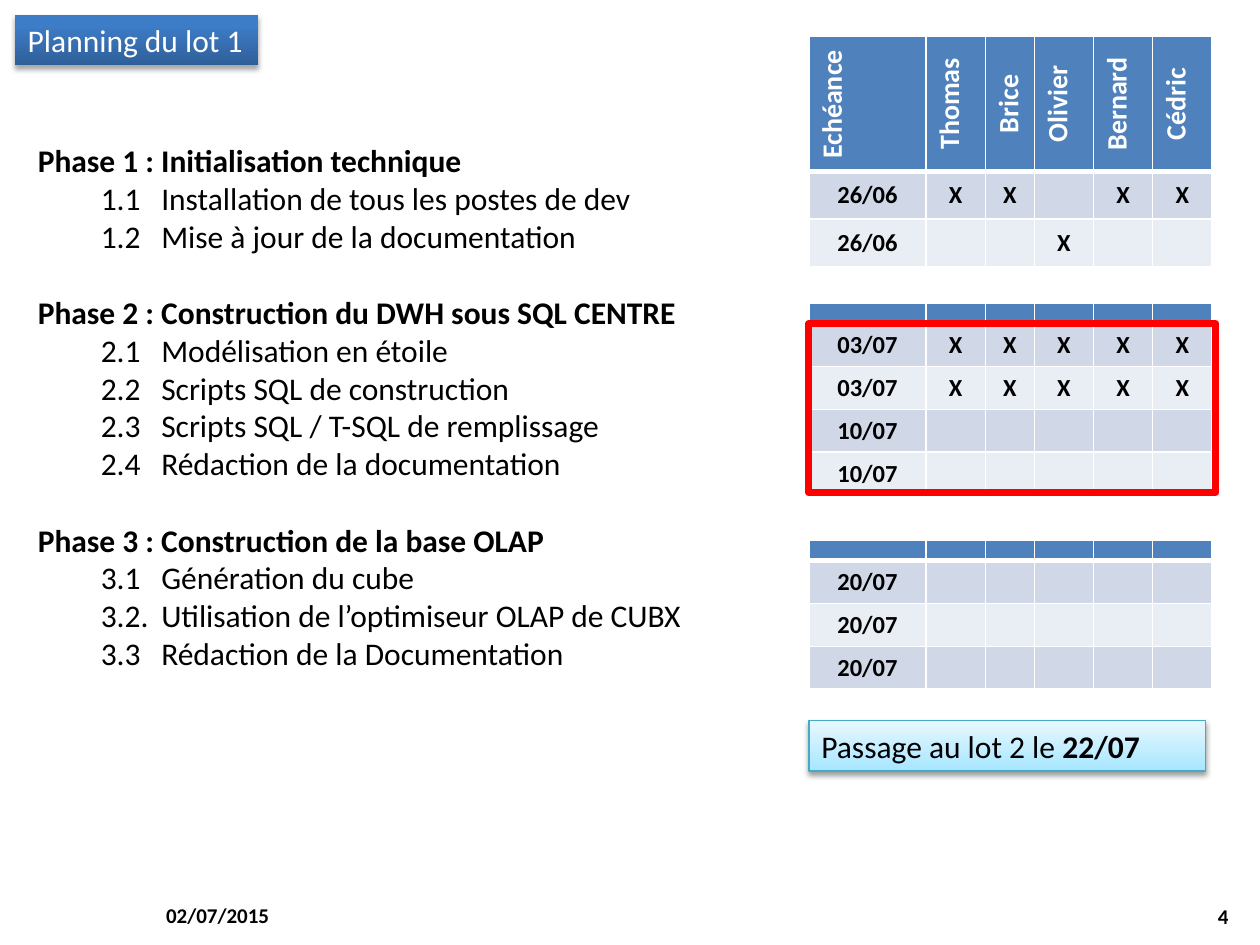
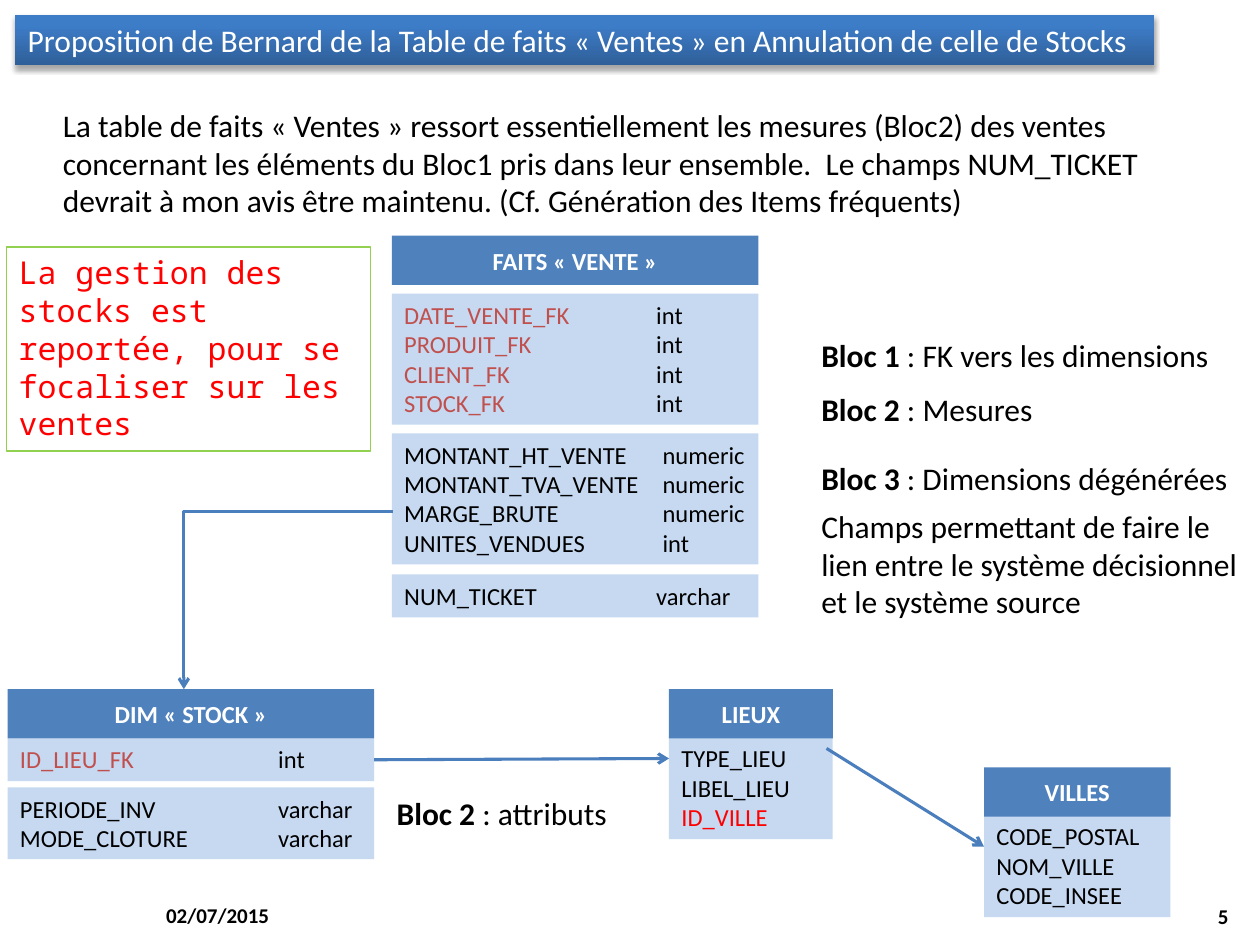
import pptx
import pptx.dml.color
import pptx.enum.dml
import pptx.enum.shapes
import pptx.enum.text
import pptx.oxml
import pptx.oxml.ns
import pptx.util
from lxml import etree
from pptx.util import Inches

Pt = pptx.util.Pt
qn = pptx.oxml.ns.qn
SHAPE = pptx.enum.shapes.MSO_SHAPE
CONNECTOR = pptx.enum.shapes.MSO_CONNECTOR
ALIGN = pptx.enum.text.PP_ALIGN
ANCHOR = pptx.enum.text.MSO_ANCHOR

BLACK, WHITE, RED = "000000", "FFFFFF", "FF0000"
BLUE, PALE_BLUE, KEY_RED, ARROW_BLUE = "4F81BD", "C6D9F1", "C0504D", "4B7EBC"
ROW_TINTS = ("D0D8E8", "E9EDF4")
FONT, MONO = "Calibri", "Noto Sans Mono"

COLUMN_WIDTHS = (0.93, 0.47, 0.39, 0.47, 0.47, 0.47)
TEAM = ("Echéance", "Thomas", "Brice", "Olivier", "Bernard", "Cédric")
PHASES = (
    ("Phase 1 : Initialisation technique",
     ("1.1\tInstallation de tous les postes de dev",
      "1.2\tMise à jour de la documentation")),
    ("Phase 2 : Construction du DWH sous SQL CENTRE",
     ("2.1\tModélisation en étoile",
      "2.2\tScripts SQL de construction",
      "2.3\tScripts SQL / T-SQL de remplissage",
      "2.4\tRédaction de la documentation")),
    ("Phase 3 : Construction de la base OLAP",
     ("3.1\tGénération du cube",
      "3.2.\tUtilisation de l’optimiseur OLAP de CUBX",
      "3.3\tRédaction de la Documentation")),
)


def colour(hex_value):
    """Turn a hex string into a colour."""
    return pptx.dml.color.RGBColor.from_string(hex_value)


def inches(*lengths):
    """Convert several lengths to Inches."""
    return [Inches(length) for length in lengths]


def add_run(paragraph, text, size=18, ink=BLACK, bold=False, font=FONT):
    """Append one formatted run."""
    run = paragraph.add_run()
    run.text = text
    run.font.name, run.font.size, run.font.bold = font, Pt(size), bold
    run.font.color.rgb = colour(ink)


def next_paragraph(frame):
    """Return the first paragraph while it is unused, else a new one."""
    first = frame.paragraphs[0]
    return frame.add_paragraph() if first.runs else first


def set_frame(frame, anchor=ANCHOR.TOP, wrap=True):
    """Set the wrap and anchor of a text frame."""
    frame.word_wrap = wrap
    frame.auto_size = pptx.enum.text.MSO_AUTO_SIZE.NONE
    frame.vertical_anchor = anchor
    return frame


def set_tab(paragraph, position):
    """Put a left tab stop in a paragraph."""
    properties = paragraph._p.get_or_add_pPr()
    stops = etree.SubElement(properties, qn("a:tabLst"))
    etree.SubElement(stops, qn("a:tab"), pos=str(Inches(position)), algn="l")


def set_outline(shape, ink=None, width=0.75):
    """Give a shape an outline, or none."""
    if ink:
        shape.line.color.rgb = colour(ink)
        shape.line.width = Pt(width)
    else:
        shape.line.fill.background()


def set_glossy(shape, bottom, top, top_position, opacity):
    """Fill with an upward gradient and add a soft shadow."""
    shape.fill.gradient()
    shape.fill.gradient_angle = 90
    for stop, ink, position in zip(shape.fill.gradient_stops, (bottom, top),
                                   (0, top_position)):
        stop.color.rgb = colour(ink)
        stop.position = position
    shape.shadow.inherit = False
    effects = shape.element.spPr.find(qn("a:effectLst"))
    shadow = etree.SubElement(effects, qn("a:outerShdw"), blurRad=str(Pt(3.1)),
                              dist=str(Pt(1.8)), dir="5400000", rotWithShape="0")
    ink = etree.SubElement(shadow, qn("a:srgbClr"), val=BLACK)
    etree.SubElement(ink, qn("a:alpha"), val=str(opacity * 1000))


def add_box(shapes, box, fill=None, outline=None, width=0.75, kind=SHAPE.RECTANGLE):
    """Add a flat preset shape."""
    shape = shapes.add_shape(kind, *inches(*box))
    shape.shadow.inherit = False
    if fill:
        shape.fill.solid()
        shape.fill.fore_color.rgb = colour(fill)
    else:
        shape.fill.background()
    set_outline(shape, outline, width)
    return shape


def add_text(slide, box, *paragraphs, spacing=3):
    """Add a text box; each paragraph is a list of (text, bold) pairs."""
    frame = set_frame(slide.shapes.add_textbox(*inches(*box)).text_frame)
    for parts in paragraphs:
        paragraph = next_paragraph(frame)
        paragraph.space_before = paragraph.space_after = Pt(spacing)
        for text, bold in parts:
            add_run(paragraph, text, bold=bold)


def add_footer(slide, left, top, text, align):
    """Add one footer item."""
    box = slide.shapes.add_textbox(*inches(left, top, 2.33, 0.4))
    paragraph = set_frame(box.text_frame, ANCHOR.MIDDLE).paragraphs[0]
    paragraph.alignment = align
    add_run(paragraph, text, 12, bold=True)


def new_slide(deck, layout, title, title_width, number):
    """Add a slide with its title band, date and number."""
    slide = deck.slides.add_slide(deck.slide_layouts[layout])
    band = slide.shapes.title
    band.left, band.top, band.width, band.height = inches(0.12, 0.12, title_width, 0.4)
    set_glossy(band, "2F5F99", "3D7CC7", 0.8, 35)
    paragraph = set_frame(band.text_frame, wrap=False).paragraphs[0]
    paragraph.alignment = ALIGN.LEFT
    add_run(paragraph, title, ink=WHITE)
    add_footer(slide, 1.22, 7.06, "02/07/2015", ALIGN.LEFT)
    add_footer(slide, 7.52, 7.07, number, ALIGN.RIGHT)
    return slide


def add_phases(slide):
    """Write the phases and their steps in the body placeholder."""
    body = slide.placeholders[1]
    body.left, body.top, body.width, body.height = inches(0.2, 1.07, 6.52, 4.34)
    frame = set_frame(body.text_frame)
    for index, (phase, steps) in enumerate(PHASES):
        for level, text in enumerate((phase,) + steps):
            paragraph = next_paragraph(frame)
            is_step = level > 0
            paragraph.level = int(is_step)
            paragraph.space_before = Pt(22 if index and not is_step else 0)
            properties = paragraph._p.get_or_add_pPr()
            properties.set("marL", str(Inches(0.98 if is_step else 0)))
            properties.set("indent", str(Inches(-0.48 if is_step else 0)))
            etree.SubElement(properties, qn("a:buNone"))
            add_run(paragraph, text, bold=not is_step)


def set_borders(cell_element, bottom):
    """Draw white borders round a table cell."""
    properties = cell_element.get_or_add_tcPr()
    for index, (side, width) in enumerate((("L", 1), ("R", 1), ("T", 1), ("B", bottom))):
        line = etree.Element(qn("a:ln" + side), w=str(Pt(width)))
        fill = etree.SubElement(line, qn("a:solidFill"))
        etree.SubElement(fill, qn("a:srgbClr"), val=WHITE)
        properties.insert(index, line)


def add_schedule(slide, top, heights, dates, header=("",) * 6):
    """Add a due-date table; dates are (date, marks) with one mark per person."""
    rows = [header] + [(date, *marks.replace(".", " ")) for date, marks in dates]
    frame = slide.shapes.add_table(len(rows), len(TEAM), *inches(
        6.42, top, sum(COLUMN_WIDTHS), sum(heights)))
    table = frame.table
    for column, width in zip(table.columns, COLUMN_WIDTHS):
        column.width = Inches(width)
    for row, height in zip(table.rows, heights):
        row.height = Inches(height)
    for r, texts in enumerate(rows):
        for c, text in enumerate(texts):
            cell = table.cell(r, c)
            cell.fill.solid()
            cell.fill.fore_color.rgb = colour(ROW_TINTS[(r - 1) % 2] if r else BLUE)
            cell.vertical_anchor = ANCHOR.MIDDLE
            paragraph = cell.text_frame.paragraphs[0]
            if text.strip():
                paragraph.alignment = ALIGN.LEFT if text == TEAM[0] else ALIGN.CENTER
                add_run(paragraph, text, 14 if r else 16, BLACK if r else WHITE, True)
            else:
                if not r:
                    cell.margin_top = cell.margin_bottom = 0
                etree.SubElement(paragraph._p, qn("a:endParaRPr"),
                                 sz="1400" if r else "600")
    for index, element in enumerate(frame.element.iter(qn("a:tc"))):
        is_header = index < len(TEAM)
        set_borders(element, 3 if is_header else 1)
        if is_header and header[0]:
            element.get_or_add_tcPr().set("vert", "vert270")


def add_heading(shapes, left, top, width, name):
    """Add the heading of a database table."""
    heading = add_box(shapes, (left, top, width, 0.39), BLUE,
                      kind=SHAPE.SNIP_2_SAME_RECTANGLE)
    heading.adjustments[0] = heading.adjustments[1] = 0
    paragraph = set_frame(heading.text_frame, ANCHOR.MIDDLE).paragraphs[0]
    paragraph.alignment = ALIGN.CENTER
    add_run(paragraph, name, 14, WHITE, True)


def add_fields(shapes, box, fields, name_ink=BLACK, tab=2.0):
    """Add a block of fields: (name,) or (name, type), one a line."""
    frame = set_frame(add_box(shapes, box, PALE_BLUE).text_frame)
    for name, *types in fields:
        paragraph = next_paragraph(frame)
        paragraph.alignment = ALIGN.LEFT
        add_run(paragraph, name, 14, RED if name == "ID_VILLE" else name_ink)
        for data_type in types:
            set_tab(paragraph, tab)
            add_run(paragraph, "\t" + data_type, 14)


def add_entity(slide, left, top, width, name, fields):
    """Add a grouped heading and field block."""
    members = slide.shapes.add_group_shape().shapes
    add_fields(members, (left, top + 0.38, width, 0.81), [(field,) for field in fields])
    add_heading(members, left, top, width, name)


def add_arrow(slide, start, end, bent=False):
    """Add an arrow, straight or with one corner."""
    kind = CONNECTOR.ELBOW if bent else CONNECTOR.STRAIGHT
    arrow = slide.shapes.add_connector(kind, *inches(*start, *end))
    arrow.line.color.rgb = colour(ARROW_BLUE)
    arrow.line.width = Pt(1.75)
    properties = arrow.element.spPr
    if bent:
        properties.find(qn("a:prstGeom")).set("prst", "bentConnector2")
    etree.SubElement(properties.find(qn("a:ln")), qn("a:tailEnd"), type="arrow")
    etree.SubElement(properties, qn("a:effectLst"))


def build_planning(deck):
    """Build the schedule of the first batch."""
    slide = new_slide(deck, 1, "Planning du lot 1", 1.93, "4")
    add_phases(slide)
    add_schedule(slide, 0.29, (1.07, 0.38, 0.38),
                 (("26/06", "XX.XX"), ("26/06", "..X..")), TEAM)
    add_schedule(slide, 2.41, (0.16,) + (0.34,) * 4,
                 (("03/07", "XXXXX"), ("03/07", "XXXXX"),
                  ("10/07", "....."), ("10/07", ".....")))
    add_schedule(slide, 4.29, (0.16,) + (0.34,) * 3, (("20/07", "....."),) * 3)
    handover = add_box(slide.shapes, (6.42, 5.72, 3.15, 0.4), outline="46AAC5")
    set_glossy(handover, "A7E6FF", "E7F8FF", 1, 38)
    paragraph = set_frame(handover.text_frame).paragraphs[0]
    paragraph.alignment = ALIGN.LEFT
    add_run(paragraph, "Passage au lot 2 le ")
    add_run(paragraph, "22/07", bold=True)
    add_box(slide.shapes, (6.42, 2.57, 3.23, 1.34), outline=RED, width=4)


def build_sales_facts(deck):
    """Build the proposal for the sales fact table."""
    slide = new_slide(deck, 5, "Proposition de Bernard de la Table de faits «\u00a0Ventes\u00a0» "
                      "en Annulation de celle de Stocks", 9.04, "5")
    shapes = slide.shapes
    keys = ("DATE_VENTE_FK", "PRODUIT_FK", "CLIENT_FK", "STOCK_FK")
    add_fields(shapes, (3.11, 2.33, 2.91, 1.04), [(key, "int") for key in keys], KEY_RED)
    add_heading(shapes, 3.11, 1.87, 2.91, "FAITS «\u00a0VENTE\u00a0»")
    add_fields(shapes, (3.11, 3.44, 2.91, 1.04),
               (("MONTANT_HT_VENTE", "numeric"), ("MONTANT_TVA_VENTE", "numeric"),
                ("MARGE_BRUTE", "numeric"), ("UNITES_VENDUES", "int")), tab=2.05)
    add_fields(shapes, (3.11, 4.56, 2.91, 0.34), (("NUM_TICKET", "varchar"),))

    for left, top, block, meaning in ((6.42, 2.62, "Bloc 1", "FK vers les dimensions"),
                                      (6.42, 3.05, "Bloc 2", "Mesures"),
                                      (3.05, 6.25, "Bloc 2", "attributs")):
        add_text(slide, (left, top, 3.39, 0.4), [(block, True), (" : " + meaning, False)])
    add_text(slide, (6.42, 3.59, 3.5, 1.4),
             [("Bloc 3", True), (" : Dimensions dégénérées", False)],
             [("Champs permettant de faire le lien entre le système décisionnel "
               "et le système source", False)])
    add_text(slide, (0.4, 0.79, 9.24, 1.01),
             [("La table de faits «\u00a0Ventes\u00a0» ressort essentiellement les mesures "
               "(Bloc2) des ventes concernant les éléments du Bloc1 pris dans leur ensemble.  "
               "Le champs NUM_TICKET devrait à mon avis être maintenu. "
               "(Cf. Génération des Items fréquents)", False)])

    add_fields(shapes, (0.06, 5.86, 2.91, 0.34), (("ID_LIEU_FK", "int"),), KEY_RED, 2.05)
    add_heading(shapes, 0.06, 5.47, 2.91, "DIM «\u00a0STOCK\u00a0»")
    add_fields(shapes, (0.06, 6.25, 2.91, 0.57),
               (("PERIODE_INV", "varchar"), ("MODE_CLOTURE", "varchar")), tab=2.05)
    add_entity(slide, 7.81, 6.09, 1.48, "VILLES", ("CODE_POSTAL", "NOM_VILLE", "CODE_INSEE"))
    add_entity(slide, 5.31, 5.47, 1.3, "LIEUX", ("TYPE_LIEU", "LIBEL_LIEU", "ID_VILLE"))
    add_arrow(slide, (3.12, 4.06), (1.46, 5.47), bent=True)
    add_arrow(slide, (2.97, 6.03), (5.31, 6.02))
    add_arrow(slide, (6.56, 5.94), (7.81, 6.72))

    decision = add_box(shapes, (0.05, 1.96, 2.89, 1.62), outline="92D050")
    paragraph = set_frame(decision.text_frame).paragraphs[0]
    paragraph.alignment = ALIGN.LEFT
    add_run(paragraph, "La gestion des stocks est reportée, pour se focaliser sur les ventes",
            ink=RED, font=MONO)


def main():
    """Build and save the deck."""
    deck = pptx.Presentation()
    deck.slide_width, deck.slide_height = inches(10, 7.5)
    build_planning(deck)
    build_sales_facts(deck)
    deck.save("out.pptx")


main()
